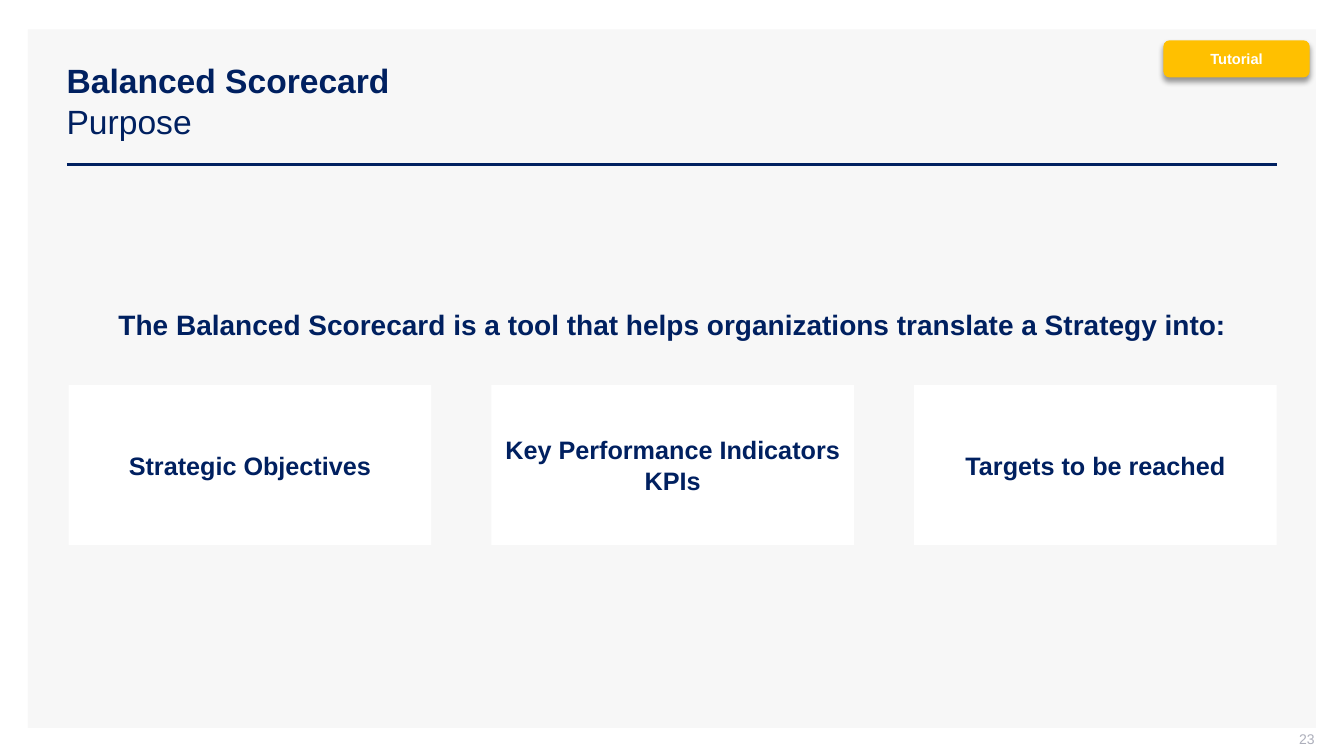
"""Build the Balanced Scorecard purpose slide."""
from lxml import etree
from pptx import Presentation
from pptx.dml.color import RGBColor
from pptx.enum.shapes import MSO_CONNECTOR, MSO_SHAPE
from pptx.enum.text import MSO_ANCHOR, PP_ALIGN
from pptx.oxml import parse_xml
from pptx.oxml.ns import qn
from pptx.util import Pt

NAVY = RGBColor(0x00, 0x20, 0x60)
WHITE = RGBColor(0xFF, 0xFF, 0xFF)
PALE_GREY = RGBColor(0xF7, 0xF7, 0xF7)
NUMBER_GREY = RGBColor(0xAD, 0xAF, 0xBB)
AMBER = RGBColor(0xFF, 0xC0, 0x00)
RECTANGLE = MSO_SHAPE.RECTANGLE
ROUNDED = MSO_SHAPE.ROUNDED_RECTANGLE
STRAIGHT = MSO_CONNECTOR.STRAIGHT
MIDDLE = MSO_ANCHOR.MIDDLE
LEFT, CENTER, RIGHT = PP_ALIGN.LEFT, PP_ALIGN.CENTER, PP_ALIGN.RIGHT

TAG_SHADOW = """
<a:effectLst xmlns:a="http://schemas.openxmlformats.org/drawingml/2006/main">
  <a:outerShdw blurRad="50800" dist="38100" dir="5400000" algn="t" rotWithShape="0">
    <a:srgbClr val="000000"><a:alpha val="40000"/></a:srgbClr>
  </a:outerShdw>
</a:effectLst>"""


def add_block(kind, frame, fill):
    """Add a filled shape without outline or shadow."""
    block = page.shapes.add_shape(kind, *map(Pt, frame))
    block.shadow.inherit = False
    block.fill.solid()
    block.fill.fore_color.rgb = fill
    block.line.fill.background()
    return block


def write_text(box, lines, size, color, align):
    """Write (text, bold) lines into one paragraph, parted by line breaks."""
    box.text_frame.word_wrap = True
    box.text_frame.vertical_anchor = MIDDLE
    para = box.text_frame.paragraphs[0]
    para.alignment = align
    for index, (text, bold) in enumerate(lines):
        if index:
            para.add_line_break()
        span = para.add_run()
        span.text = text
        span.font.color.rgb = color
        font_format = {"name": "Arial", "size": Pt(size), "bold": bold}
        for name, value in font_format.items():
            setattr(span.font, name, value)


deck = Presentation()
deck.slide_width, deck.slide_height = Pt(960), Pt(540)
page = deck.slides.add_slide(deck.slide_layouts[6])

add_block(RECTANGLE, (20, 21, 920, 499), PALE_GREY)

title_rule = page.shapes.add_connector(STRAIGHT, Pt(47.8), Pt(117.5), Pt(912), Pt(117.5))
title_rule.line.color.rgb = NAVY
title_rule.line.width = Pt(2)
etree.SubElement(title_rule._element.spPr, qn("a:effectLst"))

TEXTS = [
    ((40.5, 29, 872, 85.5), [("Balanced Scorecard", True), ("Purpose", False)], 24, NAVY, LEFT),
    ((49, 216.2, 863, 31.5),
     [("The Balanced Scorecard is a tool that helps organizations translate a Strategy into:", True)],
     20, NAVY, CENTER),
]
for frame, *content in TEXTS:
    box = page.shapes.add_textbox(*map(Pt, frame))
    write_text(box, *content)

number_box = page.shapes.add_textbox(Pt(723), Pt(522), Pt(216), Pt(15))
write_text(number_box, [("23", False)], 10, NUMBER_GREY, RIGHT)
margins = {"margin_top": 0, "margin_right": 0, "margin_bottom": 3.6}
for name, value in margins.items():
    setattr(number_box.text_frame, name, Pt(value))

CARD_LEFT, CARD_WIDTH, CARD_STEP = 49, 259, 302
CARDS = ["Strategic Objectives", "Key Performance Indicators KPIs", "Targets to be reached"]
for column, label in enumerate(CARDS):
    card = add_block(RECTANGLE, (CARD_LEFT + column * CARD_STEP, 275.2, CARD_WIDTH, 114), WHITE)
    write_text(card, [(label, True)], 18, NAVY, CENTER)

tag = add_block(ROUNDED, (831, 28.8, 104.5, 26.5), AMBER)
write_text(tag, [("Tutorial", True)], 10.5, WHITE, CENTER)
tag_properties = tag._element.spPr
tag_properties.replace(tag_properties.find(qn("a:effectLst")), parse_xml(TAG_SHADOW))

deck.save("out.pptx")
